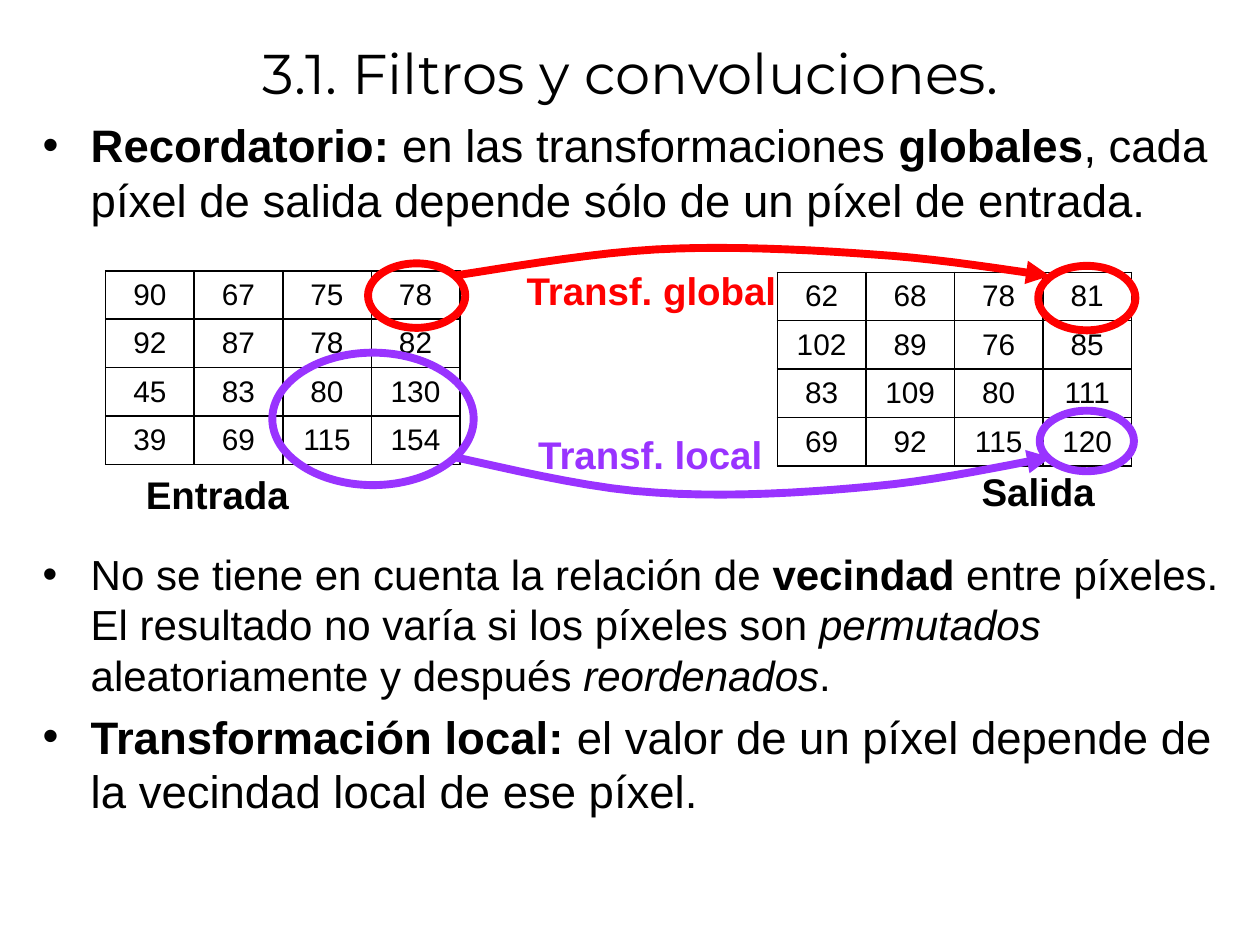
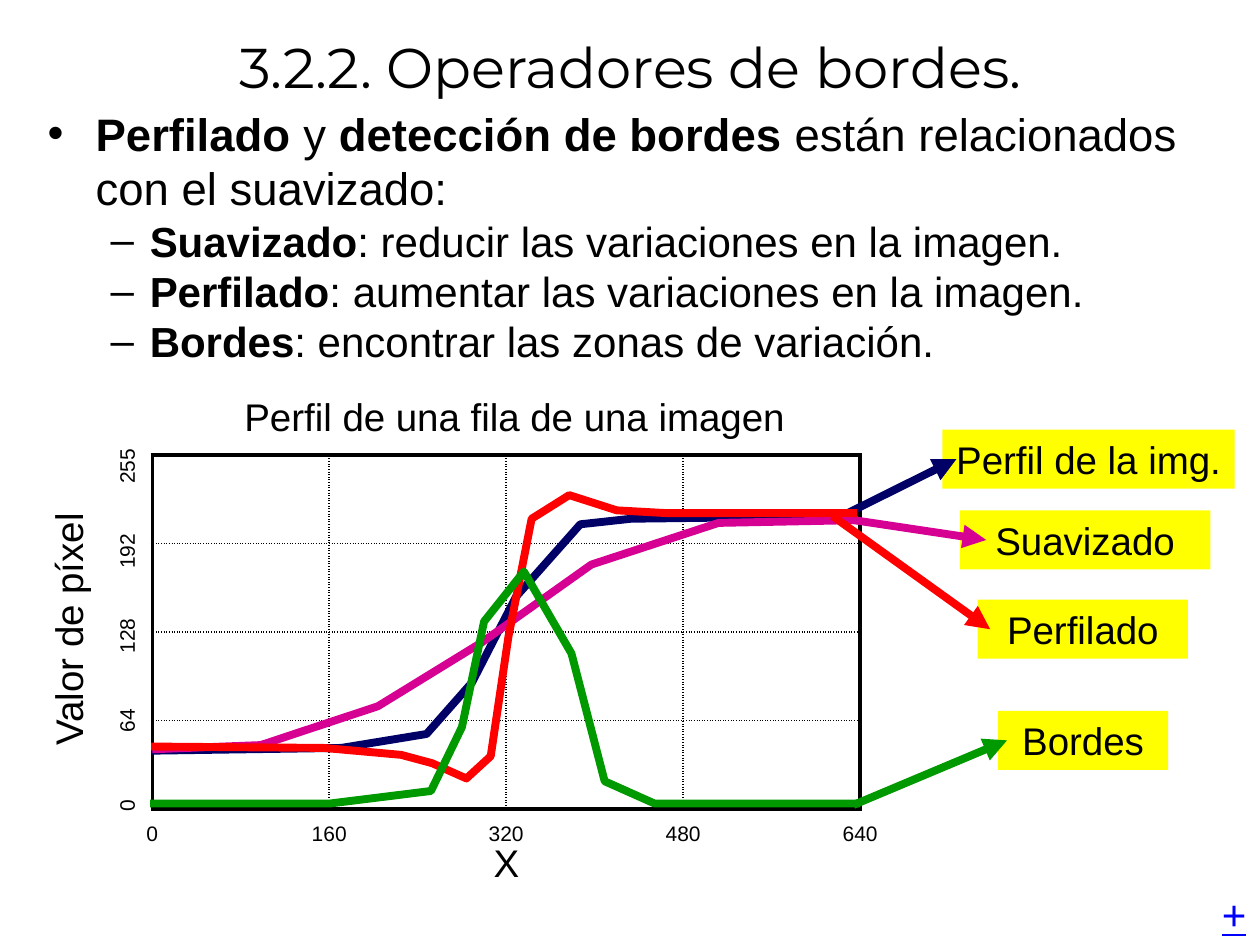
from dataclasses import dataclass
from itertools import product

from lxml.etree import SubElement
from pptx import Presentation
from pptx.dml.color import RGBColor
from pptx.enum.shapes import MSO_CONNECTOR as Connector, MSO_SHAPE as Preset
from pptx.enum.text import MSO_ANCHOR as Anchor, PP_ALIGN as Align
from pptx.oxml import parse_xml
from pptx.oxml.ns import nsdecls, qn
from pptx.util import Cm, Pt


@dataclass(frozen=True)
class Theme:
    black: str = "000000"
    red: str = "FF0000"
    purple: str = "9933FF"
    navy: str = "000066"
    magenta: str = "D60093"
    green: str = "009900"
    yellow: str = "FFFF00"
    link: str = "0000FF"
    title_font: str = "Montserrat"
    text_font: str = "Arial"
    title_size: float = 32
    lead_size: float = 26
    detail_size: float = 24
    label_size: float = 22
    cell_size: float = 17
    tick_size: float = 12
    stroke: float = 4.5
    frame: float = 2.25
    rule: float = 1
    label_height: float = 1.19


THEME = Theme()
BULLETS = [("•", 0.97, -0.97), ("–", 2.06, -0.79)]

INPUT = [[90, 67, 75, 78], [92, 87, 78, 82], [45, 83, 80, 130], [39, 69, 115, 154]]
OUTPUT = [[62, 68, 78, 81], [102, 89, 76, 85], [83, 109, 80, 111], [69, 92, 115, 120]]

TRANSFORMS = [
    ("Transf. global", THEME.red, (7.6, 0.31),
     [(5.29, 0.36, 1.96, 1.3), (18.8, 0.41, 1.96, 1.3)],
     [(7.01, 0.61), (7.7, 0.51), (9.66, 0.16), (11.08, 0.08), (12.47, 0),
      (14.15, 0.08), (15.47, 0.18), (16.79, 0.26), (18.29, 0.51), (19.03, 0.61)]),
    ("Transf. local", THEME.purple, (7.32, 3.61),
     [(3.36, 2.16, 4.06, 2.67), (18.83, 3.33, 1.9, 1.22)],
     [(7.04, 4.27), (7.73, 4.4), (9.68, 4.91), (11.1, 4.98), (12.5, 5.08),
      (14.18, 4.98), (15.5, 4.85), (16.82, 4.73), (18.29, 4.4), (19.05, 4.27)]),
]

X_MAX, Y_MAX = 640, 255
X_TICKS = [0, 160, 320, 480, 640]
Y_TICKS = [255, 192, 128, 64, 0]
PROFILES = [
    ("Perfil de la img.", THEME.navy, (15.93, -0.51, 5.89), (621, 210), 0.28,
     [(-1, 42), (171, 44), (248, 54), (289, 91), (329, 153), (387, 205),
      (433, 209), (638, 211)]),
    ("Suavizado", THEME.magenta, (16.28, 1.12, 5.05), (626, 209), 0.53,
     [(0, 43), (98, 46), (204, 74), (298, 120), (397, 176), (512, 206), (638, 208)]),
    ("Perfilado", THEME.red, (16.64, 2.92, 4.24), (615, 211), 0.25,
     [(-1, 45), (155, 44), (225, 39), (253, 33), (284, 22), (306, 38), (322, 124),
      (343, 209), (377, 226), (420, 215), (466, 213), (637, 213)]),
    ("Bordes", THEME.green, (17.05, 5.16, 3.43), (634, 3), 0.18,
     [(-2, 4), (161, 4), (252, 13), (280, 59), (300, 135), (336, 171), (379, 112),
      (409, 20), (454, 4), (640, 4)]),
]

REMINDER = [
    (0, THEME.lead_size, 0,
     [("Recordatorio:", "b"), (" en las transformaciones ", ""), ("globales", "b"),
      (", cada píxel de salida depende sólo de un píxel de entrada.", "")]),
    (0, THEME.detail_size, 184,
     [("No se tiene en cuenta la relación de ", ""), ("vecindad", "b"),
      (" entre píxeles. El resultado no varía si los píxeles son ", ""),
      ("permutados", "i"), (" aleatoriamente y después ", ""),
      ("reordenados", "i"), (".", "")]),
    (0, THEME.lead_size, 5.2,
     [("Transformación local:", "b"),
      (" el valor de un píxel depende de la vecindad local de ese píxel.", "")]),
]
OPERATORS = [
    (0, THEME.lead_size, 0,
     [("Perfilado", "b"), (" y ", ""), ("detección de bordes", "b"),
      (" están relacionados con el suavizado:", "")]),
] + [
    (1, THEME.detail_size, 0, [(operator, "b"), (purpose, "")])
    for operator, purpose in [
        ("Suavizado", ": reducir las variaciones en la imagen."),
        ("Perfilado", ": aumentar las variaciones en la imagen."),
        ("Bordes", ": encontrar las zonas de variación."),
    ]
]


def apply(target, formats):
    for name, value in formats.items():
        setattr(target, name, value)


def cms(box):
    return [Cm(length) for length in box]


def shifted(box, dx, dy):
    return box[0] + dx, box[1] + dy


def add_run(paragraph, text, size, color=THEME.black, font=THEME.text_font, **formats):
    run = paragraph.add_run()
    run.text = text
    apply(run.font, {"name": font, "size": Pt(size), **formats})
    run.font.color.rgb = RGBColor.from_string(color)


def add_label(slide, box, text, size=THEME.label_size, align=Align.CENTER,
              rotation=0, wrap=True, **formats):
    label = slide.shapes.add_textbox(*cms(box))
    label.rotation = rotation
    label.text_frame.word_wrap = wrap
    paragraph = label.text_frame.paragraphs[0]
    paragraph.alignment = align
    add_run(paragraph, text, size, **formats)
    return label


def add_title(slide, text, height):
    title = slide.shapes.title
    apply(title, dict(zip(("left", "top", "width", "height"),
                          cms((0.51, 0, 24.41, height)))))
    title.text_frame.vertical_anchor = Anchor.MIDDLE
    paragraph = title.text_frame.paragraphs[0]
    paragraph.alignment = Align.CENTER
    add_run(paragraph, text, THEME.title_size, font=THEME.title_font)


def add_points(slide, box, points):
    frame = slide.shapes.add_textbox(*cms(box)).text_frame
    frame.word_wrap = True
    for index, (level, size, gap, runs) in enumerate(points):
        paragraph = frame.add_paragraph() if index else frame.paragraphs[0]
        mark, margin, indent = BULLETS[level]
        properties = paragraph._p.get_or_add_pPr()
        properties.set("marL", str(Cm(margin)))
        properties.set("indent", str(Cm(indent)))
        SubElement(properties, qn("a:buFont")).set("typeface", THEME.text_font)
        SubElement(properties, qn("a:buChar")).set("char", mark)
        apply(paragraph, {"level": level, "space_before": Pt(gap)})
        for text, style in runs:
            add_run(paragraph, text, size, bold=style == "b", italic=style == "i")


def draw_stroke(shape, color, arrow=False):
    shape.line.color.rgb = RGBColor.from_string(color)
    shape.line.width = Pt(THEME.stroke)
    if arrow:
        outline = shape.element.spPr.find(qn("a:ln"))
        SubElement(outline, qn("a:tailEnd")).set("type", "triangle")


def add_path(slide, points, color, arrow=False):
    start, *rest = [cms(point) for point in points]
    builder = slide.shapes.build_freeform(*start, scale=1.0)
    builder.add_line_segments(rest, close=False)
    path = builder.convert_to_shape()
    path.shadow.inherit = False
    path.fill.background()
    draw_stroke(path, color, arrow)


def add_arrow(slide, start, tip, color):
    arrow = slide.shapes.add_connector(Connector.STRAIGHT, *cms(start), *cms(tip))
    draw_stroke(arrow, color, arrow=True)
    SubElement(arrow.element.spPr, qn("a:effectLst"))


def add_ring(slide, box, color):
    ring = slide.shapes.add_shape(Preset.OVAL, *cms(box))
    ring.shadow.inherit = False
    ring.fill.background()
    draw_stroke(ring, color)


def trace_curve(knots, steps=10):
    curve = [knots[0]]
    for first in range(0, len(knots) - 1, 3):
        a, b, c, d = knots[first:first + 4]
        for step in range(1, steps + 1):
            t = step / steps
            weights = ((1 - t) ** 3, 3 * t * (1 - t) ** 2, 3 * t * t * (1 - t), t ** 3)
            curve.append([sum(w * v for w, v in zip(weights, axis))
                          for axis in zip(a, b, c, d)])
    return curve


def set_borders(cell, edges):
    properties = cell._tc.get_or_add_tcPr()
    for position, side in enumerate("LRTB"):
        width, dash = edges[side]
        properties.insert(position, parse_xml(
            f'<a:ln{side} {nsdecls("a")} w="{Pt(width)}"><a:solidFill>'
            f'<a:srgbClr val="{THEME.black}"/></a:solidFill>'
            f'<a:prstDash val="{dash}"/></a:ln{side}>'))


def add_grid(slide, box, count, edges_at, values=None):
    table = slide.shapes.add_table(count, count, *cms(box)).table
    apply(table, {"first_row": False, "horz_banding": False})
    for column, row in zip(table.columns, table.rows):
        column.width, row.height = Cm(box[2] / count), Cm(box[3] / count)
    for row, column in product(range(count), repeat=2):
        cell = table.cell(row, column)
        cell.fill.background()
        set_borders(cell, edges_at(row, column))
        if values:
            cell.vertical_anchor = Anchor.MIDDLE
            paragraph = cell.text_frame.paragraphs[0]
            paragraph.alignment = Align.CENTER
            add_run(paragraph, str(values[row][column]), THEME.cell_size)


def pixel_edges(row, column):
    return dict.fromkeys("LRTB", (THEME.rule, "solid"))


def plot_edges(row, column):
    outer = {"L": column == 0, "R": column == 3, "T": row == 0, "B": row == 3}
    return {side: (THEME.frame, "solid") if edge else (THEME.rule, "sysDot")
            for side, edge in outer.items()}


def add_transforms(slide, box):
    for values, dx, dy in [(INPUT, 0, 0.51), (OUTPUT, 13.54, 0.54)]:
        add_grid(slide, (*shifted(box, dx, dy), 7.14, 3.89), 4, pixel_edges, values)
    label_size = (6.17, THEME.label_height)
    for name, color, place, rings, knots in TRANSFORMS:
        for dx, dy, width, height in rings:
            add_ring(slide, (*shifted(box, dx, dy), width, height), color)
        add_path(slide, trace_curve([shifted(box, *knot) for knot in knots]),
                 color, arrow=True)
        add_label(slide, (*shifted(box, *place), *label_size), name,
                  align=Align.RIGHT, color=color, bold=True)
    for name, place, align in [("Entrada", (0.56, 4.42), Align.LEFT),
                               ("Salida", (14.02, 4.37), Align.RIGHT)]:
        add_label(slide, (*shifted(box, *place), *label_size), name,
                  align=align, bold=True)


def add_axes(slide, box):
    height = THEME.label_height
    add_label(slide, (*shifted(box, -5.18, 2.92), 6.96, height), "Valor de píxel",
              rotation=270)
    add_grid(slide, box, 4, plot_edges)
    for index, (x_tick, y_tick) in enumerate(zip(X_TICKS, Y_TICKS)):
        across = index * box[2] / 4 - 0.94
        add_label(slide, (*shifted(box, across, 7.24), 1.88, 0.76), str(x_tick),
                  THEME.tick_size)
        add_label(slide, (*shifted(box, -1.55, index * 1.71 - 0.15), 2.06, 0.76),
                  str(y_tick), THEME.tick_size, rotation=270)
    add_label(slide, (*shifted(box, 3.66, 7.62), 6.96, height), "X")


def add_profiles(slide, box):
    left, top, width, height = box

    def at(point):
        return left + point[0] * width / X_MAX, top + (1 - point[1] / Y_MAX) * height

    add_axes(slide, box)
    for name, color, (dx, dy, key_width), start, inset, values in PROFILES:
        add_path(slide, [at(value) for value in values], color)
        key = (*shifted(box, dx, dy), key_width, THEME.label_height)
        label = add_label(slide, key, name)
        label.fill.solid()
        label.fill.fore_color.rgb = RGBColor.from_string(THEME.yellow)
        add_arrow(slide, at(start), shifted(key, inset, THEME.label_height / 2), color)
    add_label(slide, (*shifted(box, 1.17, -1.37), 12.27, THEME.label_height),
              "Perfil de una fila de una imagen")


def build_filters(slide):
    add_title(slide, "3.1. Filtros y convoluciones.", 2.92)
    add_points(slide, (0.61, 2.24, 24.31, 15.27), REMINDER)
    add_transforms(slide, (2.13, 4.95))


def build_edges(slide):
    add_title(slide, "3.2.2. Operadores de bordes.", 2.67)
    add_points(slide, (0.71, 2.01, 24, 5.49), OPERATORS)
    add_profiles(slide, (3.07, 9.17, 14.27, 7.14))
    add_label(slide, (24.38, 17.78, 1.02, 1.27), "+", THEME.detail_size, Align.LEFT,
              wrap=False, color=THEME.link, underline=True)


def main():
    deck = Presentation()
    apply(deck, {"slide_width": Cm(25.4), "slide_height": Cm(19.05)})
    for build in (build_filters, build_edges):
        build(deck.slides.add_slide(deck.slide_layouts[5]))
    deck.save("out.pptx")


if __name__ == "__main__":
    main()
